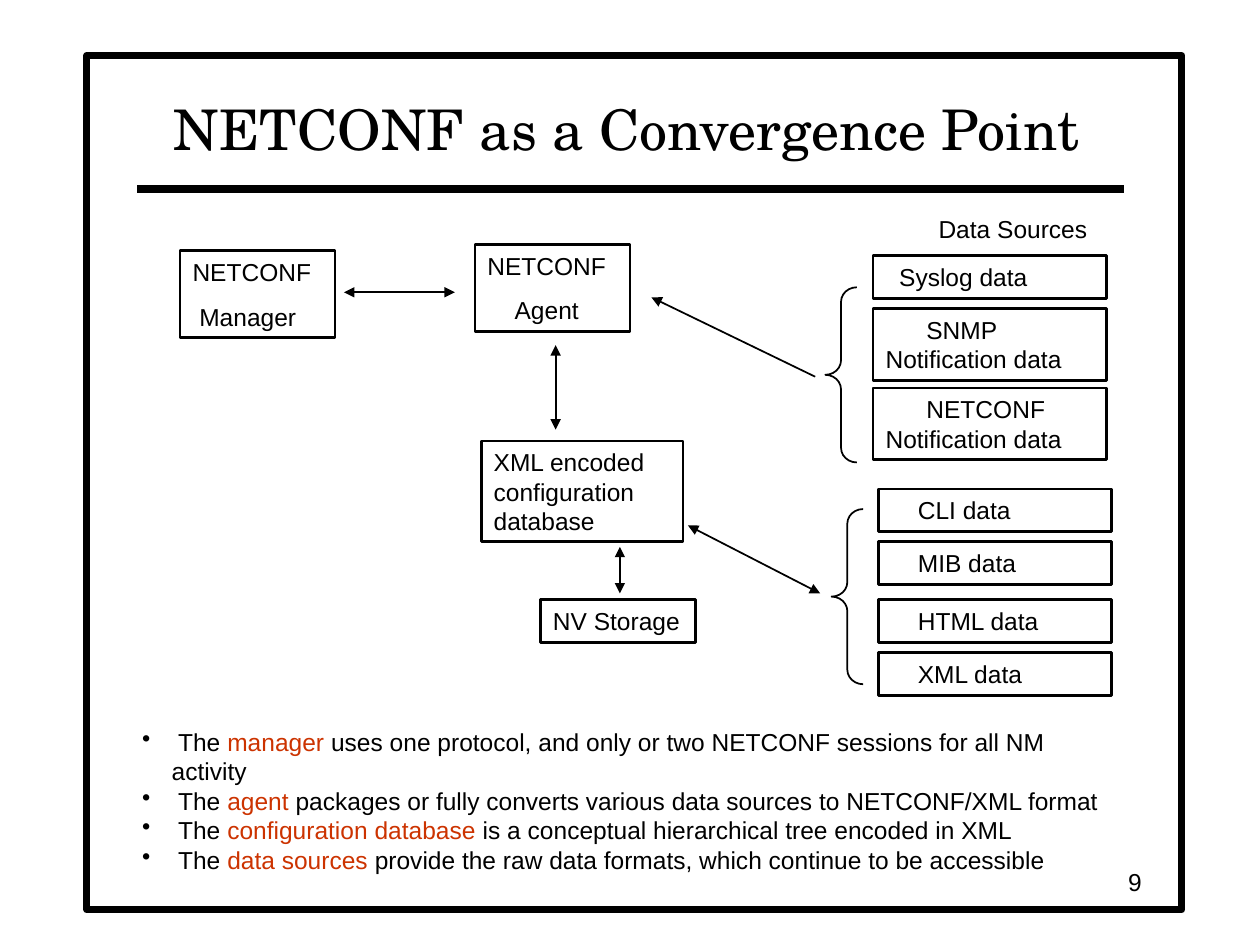
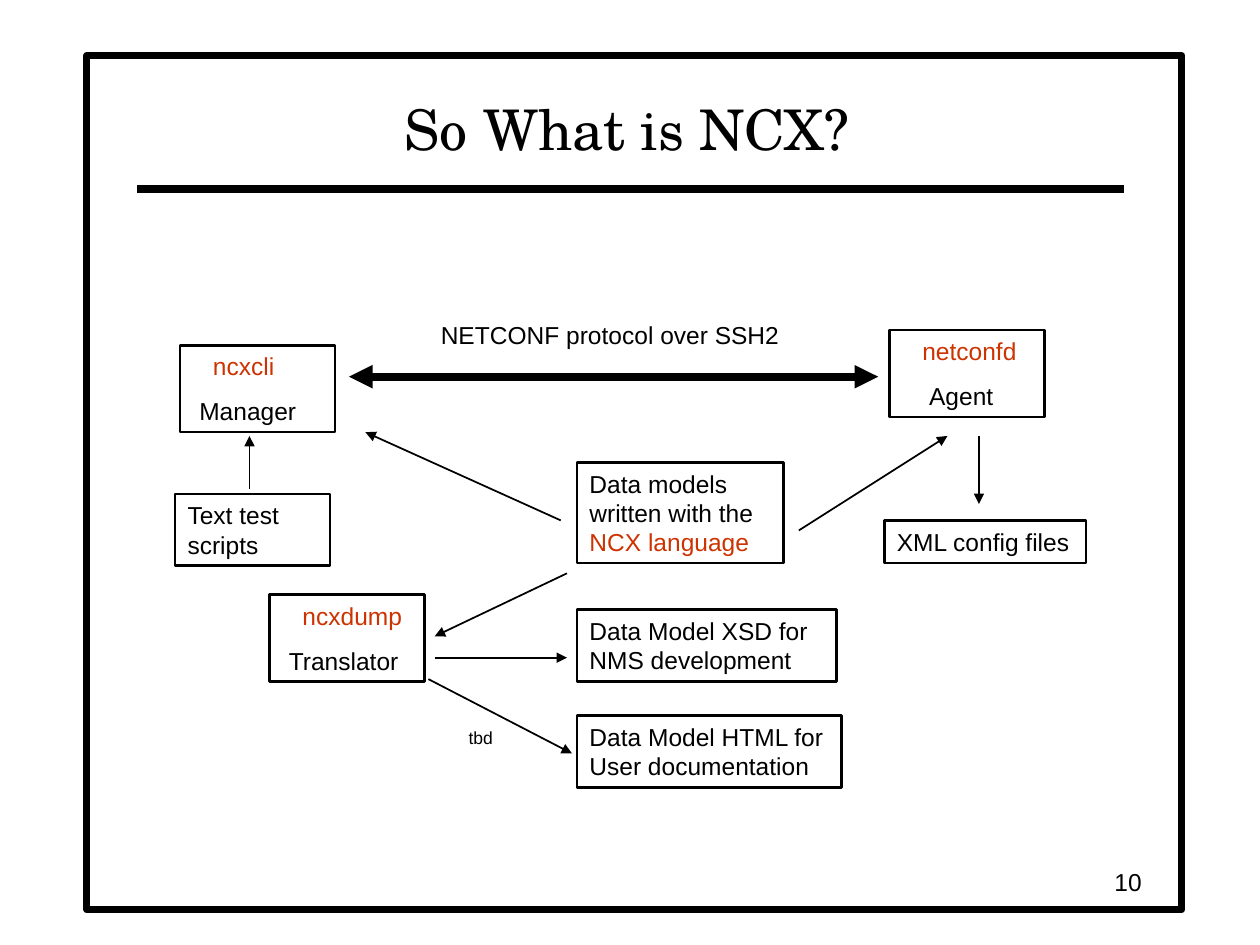
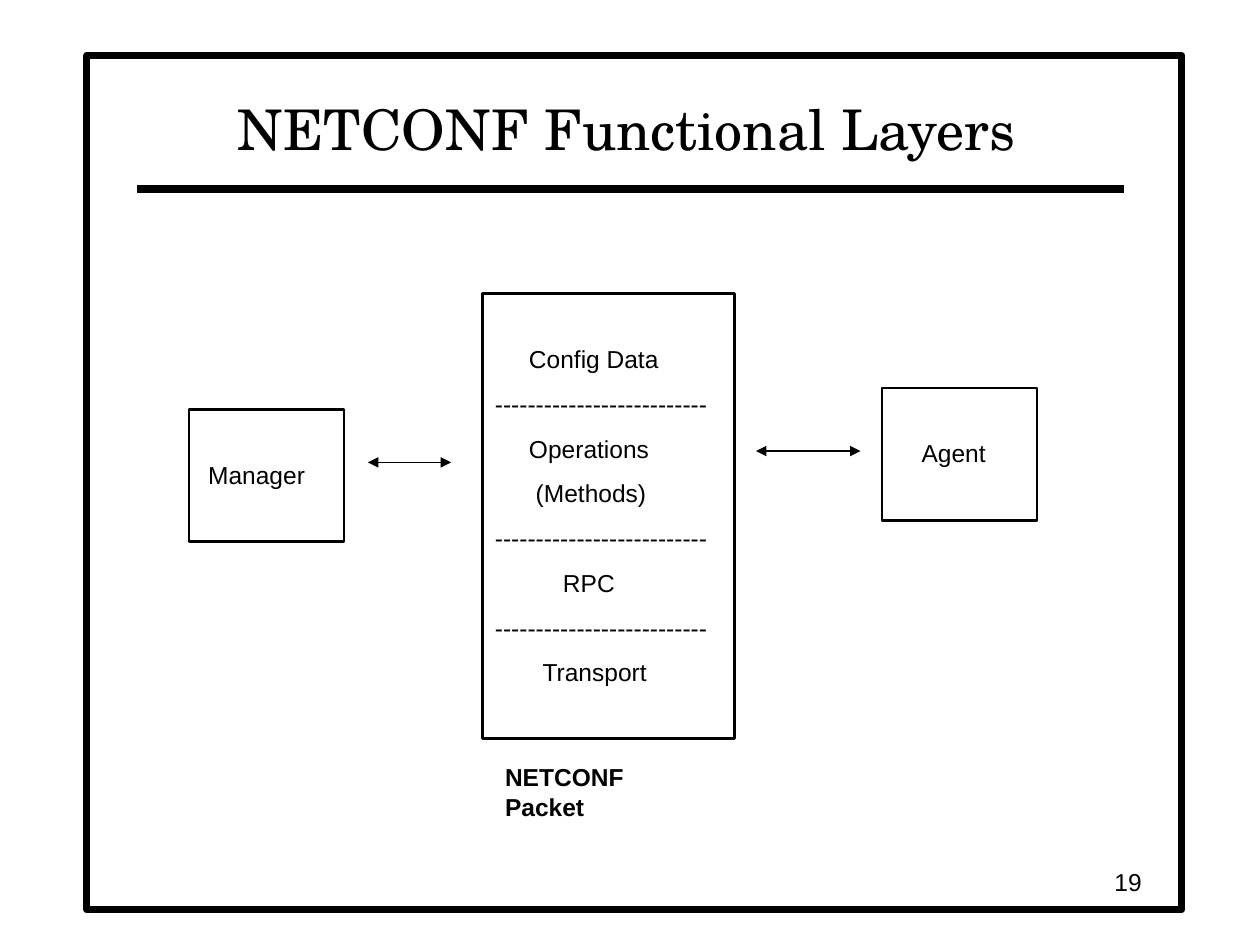
from pptx import Presentation
from pptx.dml.color import RGBColor
from pptx.enum.shapes import MSO_CONNECTOR, MSO_SHAPE
from pptx.enum.text import MSO_ANCHOR as Anchor, PP_ALIGN as Align
from pptx.oxml.ns import qn
from pptx.oxml.xmlchemy import OxmlElement
from pptx.util import Inches, Pt

BLACK = RGBColor(0x00, 0x00, 0x00)
WHITE = RGBColor(0xFF, 0xFF, 0xFF)
RED = RGBColor(0xCC, 0x33, 0x00)
BODY_FONT = "Arial"
TITLE_FONT = "TeX Gyre Schola"
SPACE_WIDTH = Pt(3.89)
BULLET_INDENT = Inches(0.235)

presentation = Presentation()
presentation.slide_width = Inches(10)
presentation.slide_height = Inches(7.5)
COLUMN = presentation.slide_width / 100
ROW = presentation.slide_height / 75
layout = presentation.slide_layouts[5]


def write_text(shape, paragraphs, size=14, font=BODY_FONT, bold=False, align=Align.LEFT,
               anchor=Anchor.TOP, space_before=8.8, top_inset=0.05, wrap=True, bullet=None):
    frame = shape.text_frame
    frame.word_wrap = wrap
    frame.vertical_anchor = anchor
    frame.margin_left = frame.margin_right = Inches(0.1)
    frame.margin_top, frame.margin_bottom = Inches(top_inset), Inches(0.05)
    for index, (spaces, text) in enumerate(paragraphs):
        paragraph = frame.add_paragraph() if index else frame.paragraphs[0]
        properties = paragraph._p.get_or_add_pPr()
        properties.set("marL", str(BULLET_INDENT if bullet else 0))
        properties.set("indent", str(-BULLET_INDENT if bullet else int(spaces * SPACE_WIDTH)))
        if bullet:
            mark = OxmlElement("a:buChar")
            mark.set("char", bullet)
            properties.append(mark)
        paragraph.alignment = align
        paragraph.space_before = Pt(space_before if index else 0)
        for part, words in enumerate(text.split("*")):
            if words:
                run = paragraph.add_run()
                run.text = words
                run.font.name, run.font.size, run.font.bold = font, Pt(size), bold
                run.font.color.rgb = RED if part % 2 else BLACK


def add_line(slide, start, end, width=1.0, arrows=()):
    line = slide.shapes.add_connector(
        MSO_CONNECTOR.STRAIGHT, int(start[0] * COLUMN), int(start[1] * ROW),
        int(end[0] * COLUMN), int(end[1] * ROW))
    line.line.color.rgb = BLACK
    line.line.width = Pt(width)
    properties = line.element.spPr
    for arrow in arrows:
        tip = OxmlElement(f"a:{arrow}")
        tip.set("type", "triangle")
        properties.find(qn("a:ln")).append(tip)
    properties.append(OxmlElement("a:effectLst"))
    return line


TO_END = ("tailEnd",)
BOTH = ("headEnd", "tailEnd")
ONE_LINE, TWO_LINES, TWO_PARAGRAPHS, THREE_LINES, PADDED = 3.4, 5.7, 6.9, 8, 10.5
NODE = 12.3
SOURCE = 18.5
DASHES = (0, "--------------------------")

convergence = {
    "title": "NETCONF as a Convergence Point",
    "number": "9",
    "boxes": [
        (14.3, 19.9, NODE, TWO_PARAGRAPHS, [(0, "NETCONF"), (1, "Manager")]),
        (37.7, 19.4, NODE, TWO_PARAGRAPHS, [(0, "NETCONF"), (4, "Agent")]),
        (38.2, 35, 16, THREE_LINES, [(0, "XML encoded configuration database")]),
        (42.9, 47.6, NODE, ONE_LINE, [(0, "NV Storage")]),
        (69.3, 20.3, SOURCE, ONE_LINE, [(2, "Syslog data")]),
        (69.3, 24.5, SOURCE, TWO_LINES, [(6, "SNMP Notification data")]),
        (69.3, 30.8, SOURCE, TWO_LINES, [(6, "NETCONF Notification data")]),
        (69.7, 38.8, SOURCE, ONE_LINE, [(4, "CLI data")]),
        (69.7, 43, SOURCE, ONE_LINE, [(4, "MIB data")]),
        (69.7, 47.6, SOURCE, ONE_LINE, [(4, "HTML data")]),
        (69.7, 51.8, SOURCE, ONE_LINE, [(4, "XML data")]),
    ],
    "lines": [
        ((27.3, 23.2), (36.1, 23.2), 1, BOTH),
        ((64.7, 29.9), (51.7, 23.6), 1, TO_END),
        ((65.1, 47.1), (54.6, 41.7), 1, BOTH),
        ((49.2, 47.1), (49.2, 43.4), 1, BOTH),
        ((44.1, 34.1), (44.1, 27.4), 1, BOTH),
    ],
    "labels": [(73.5, 16.5, 13.8, ONE_LINE, "Data Sources", 14, False)],
    "braces": [(65.5, 22.8), (66, 40.4)],
    "bullets": [
        " The *manager* uses one protocol, and only or two NETCONF sessions for all NM activity",
        " The *agent* packages or fully converts various data sources to NETCONF/XML format",
        " The *configuration database* is a conceptual hierarchical tree encoded in XML",
        " The *data sources* provide the raw data formats, which continue to be accessible",
    ],
}

ncx = {
    "title": "So What is NCX?",
    "number": "10",
    "boxes": [
        (14.3, 27.4, NODE, TWO_PARAGRAPHS, [(3, "*ncxcli*"), (1, "Manager")]),
        (70.6, 26.2, NODE, TWO_PARAGRAPHS, [(3, "*netconfd*"), (4, "Agent")]),
        (21.4, 47.2, NODE, TWO_PARAGRAPHS, [(3, "*ncxdump*"), (1, "Translator")]),
        (13.9, 39.2, NODE, TWO_LINES, [(0, "Text test scripts")]),
        (70.2, 41.3, 16, ONE_LINE, [(0, "XML config files")]),
        (45.8, 36.7, 16.4, THREE_LINES, [(0, "Data models written with the *NCX language*")]),
        (45.8, 48.4, 20.6, TWO_LINES, [(0, "Data Model XSD for NMS development")]),
        (45.8, 56.8, 21, TWO_LINES, [(0, "Data Model HTML for User documentation")]),
    ],
    "lines": [
        ((27.7, 29.9), (69.7, 29.9), 4.5, BOTH),
        ((44.5, 41.3), (29, 34.3), 1, TO_END),
        ((63.4, 42.1), (75.2, 34.6), 1, TO_END),
        ((45, 45.5), (34.5, 50.5), 1, TO_END),
        ((34.5, 52.2), (45, 52.2), 1, TO_END),
        ((34, 53.9), (45.4, 59.8), 1, TO_END),
        ((19.8, 38.8), (19.8, 34.6), 1, TO_END),
        ((77.7, 34.6), (77.7, 40), 1, TO_END),
    ],
    "labels": [
        (34, 24.9, 28.9, ONE_LINE, "NETCONF protocol over SSH2", 14, False),
        (36.2, 57.2, 3.9, 2.7, "tbd", 10, False),
    ],
}

layers = {
    "title": "NETCONF Functional Layers",
    "number": "19",
    "boxes": [
        (15, 32.5, NODE, PADDED, [(1, "Manager")]),
        (70, 30.8, NODE, PADDED, [(4, "Agent")]),
        (38.3, 23.3, 20, 35.3, [
            (5, "Config Data"), DASHES, (5, "Operations"), (6, "(Methods)"), DASHES,
            (10, "RPC"), DASHES, (7, "Transport")]),
    ],
    "lines": [
        ((29.2, 36.7), (35.8, 36.7), 1, BOTH),
        ((60, 35.8), (68.3, 35.8), 1, BOTH),
    ],
    "labels": [(39.1, 60, 18.2, ONE_LINE, "NETCONF Packet", 14, True)],
    "top_inset": 0.4,
}

for content in (convergence, ncx, layers):
    slide = presentation.slides.add_slide(layout)
    shapes = slide.shapes

    if content is convergence:
        border = shapes.add_shape(MSO_SHAPE.RECTANGLE, int(6.9 * COLUMN), int(4.4 * ROW),
                                  int(86.9 * COLUMN), int(67.8 * ROW))
        border.shadow.inherit = False
        border.fill.solid()
        border.fill.fore_color.rgb = WHITE
        border.line.color.rgb = BLACK
        border.line.width = Pt(4)
        title_rule = add_line(slide, (10.9, 15), (89.2, 15), 4.5)
        for offset, shared in enumerate((border, title_rule)):
            shared.element.xpath(".//p:cNvPr")[0].set("id", str(20 + offset))
            layout.shapes.element.insert(2 + offset, shared.element)

    title = shapes.title
    title.left, title.top = int(10.8 * COLUMN), int(5.8 * ROW)
    title.width, title.height = int(77.9 * COLUMN), int(7.5 * ROW)
    write_text(title, [(0, content["title"])], size=32, font=TITLE_FONT,
               align=Align.CENTER, anchor=Anchor.BOTTOM)

    for left, top, width, height, paragraphs in content["boxes"]:
        box = shapes.add_shape(MSO_SHAPE.RECTANGLE, int(left * COLUMN), int(top * ROW),
                               int(width * COLUMN), int(height * ROW))
        box.shadow.inherit = False
        box.fill.background()
        box.line.color.rgb = BLACK
        box.line.width = Pt(1.5)
        write_text(box, paragraphs, top_inset=content.get("top_inset", 0.05))

    for start, end, width, arrows in content["lines"]:
        add_line(slide, start, end, width, arrows)

    for left, top, width, height, text, size, bold in content["labels"]:
        label = shapes.add_textbox(int(left * COLUMN), int(top * ROW),
                                   int(width * COLUMN), int(height * ROW))
        write_text(label, [(0, text)], size=size, bold=bold, wrap=False)

    for left, top in content.get("braces", []):
        brace = shapes.add_shape(MSO_SHAPE.LEFT_BRACE, int(left * COLUMN), int(top * ROW),
                                 int(2.5 * COLUMN), int(13.9 * ROW))
        brace.shadow.inherit = False
        brace.adjustments[0] = 0.46
        brace.fill.background()
        brace.line.color.rgb = BLACK
        brace.line.width = Pt(1)

    if "bullets" in content:
        summary = shapes.add_textbox(int(10.3 * COLUMN), int(57.2 * ROW),
                                     int(79.4 * COLUMN), int(10.4 * ROW))
        write_text(summary, [(0, text) for text in content["bullets"]],
                   space_before=0, bullet="•")

    number = shapes.add_textbox(int(70.8 * COLUMN), int(68.3 * ROW),
                                int(20.8 * COLUMN), int(3.3 * ROW))
    write_text(number, [(0, content["number"])], align=Align.RIGHT, anchor=Anchor.MIDDLE)

presentation.save("out.pptx")
